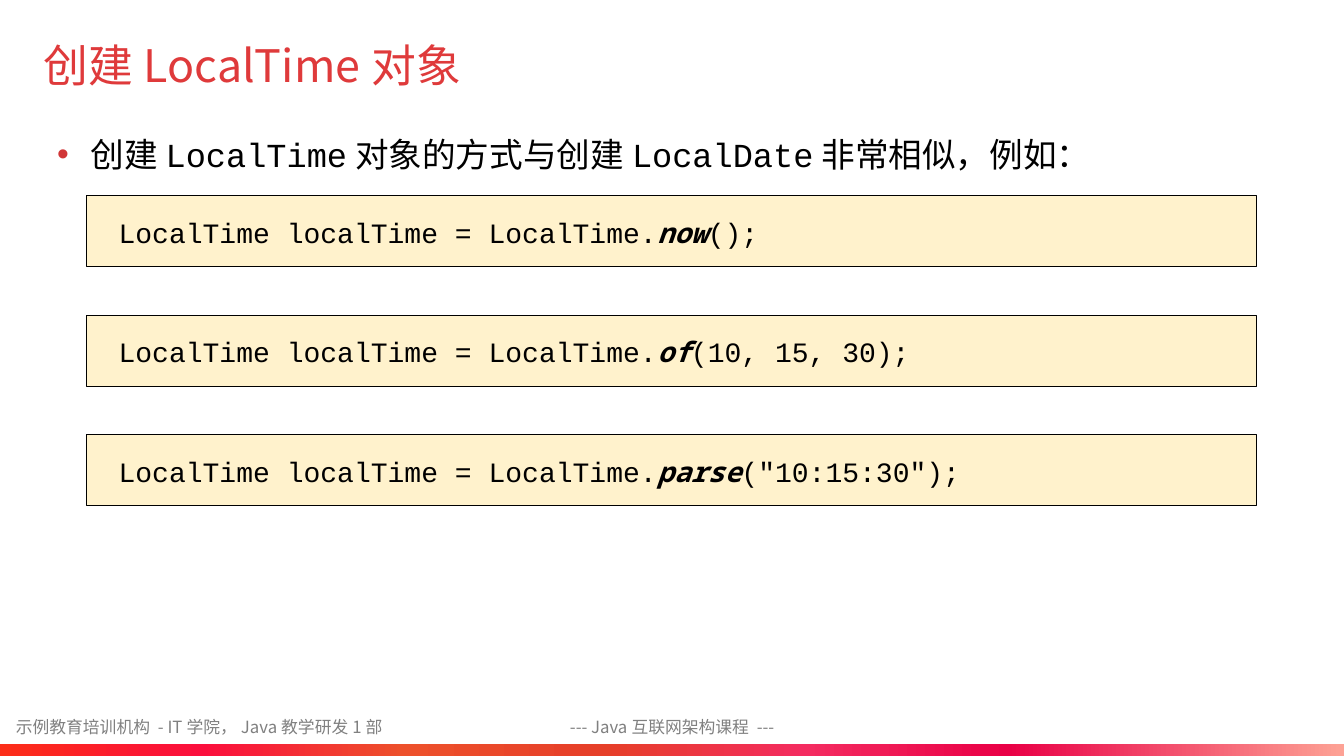
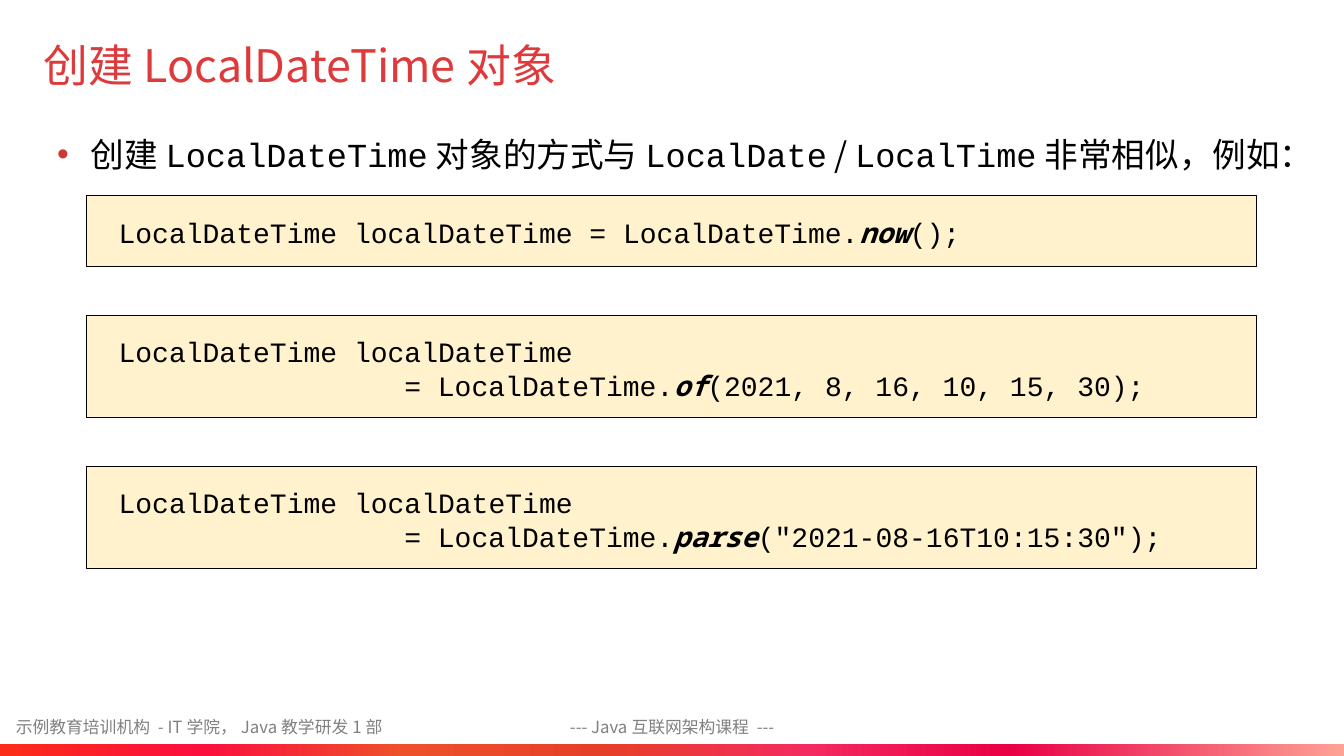
"""Build two slides on creating LocalTime and LocalDateTime objects."""
from dataclasses import dataclass

from lxml.etree import SubElement
from pptx import Presentation
from pptx.dml.color import RGBColor
from pptx.enum.shapes import MSO_SHAPE
from pptx.enum.text import MSO_ANCHOR, PP_ALIGN
from pptx.oxml.ns import qn
from pptx.util import Cm, Pt

RED = RGBColor(0xDF, 0x3A, 0x3B)
BULLET_RED = RGBColor(0xD1, 0x36, 0x37)
GREY = RGBColor(0x80, 0x80, 0x80)
BLACK = RGBColor(0x00, 0x00, 0x00)
CREAM = RGBColor(0xFF, 0xF2, 0xCC)
BAND_STOPS = (
    (0, RGBColor(0xFC, 0x2D, 0x18)),
    (15, RGBColor(0xFB, 0x0F, 0x3D)),
    (30, RGBColor(0xED, 0x50, 0x2B)),
    (45, RGBColor(0xE6, 0x3F, 0x29)),
    (60, RGBColor(0xF4, 0x2B, 0x60)),
    (75, RGBColor(0xE9, 0x00, 0x46)),
    (100, RGBColor(0xFD, 0xA2, 0x95)),
)

SANS = "Noto Sans CJK SC"
CODE = "Courier New"
METHOD = "Noto Sans Mono"

SLIDE_W, SLIDE_H = 33.87, 19.05
BAND_H = 0.3
CODE_LEFT, CODE_TOP, CODE_W = 2.18, 4.93, 29.49
CODE_PAD_X, CODE_PAD_Y = 0.81, 0.5
CODE_LINE_H, CODE_GAP = 0.79, 1.22
CODE_INDENT = 7.2


@dataclass(frozen=True)
class Box:
    """Position and size in centimetres."""
    left: float
    top: float
    width: float
    height: float

    def lengths(self) -> tuple:
        """Return the four values as lengths."""
        return Cm(self.left), Cm(self.top), Cm(self.width), Cm(self.height)


@dataclass(frozen=True)
class Style:
    """Font, size and colour of a run."""
    font: str
    size: float
    color: RGBColor
    strong: bool = False


@dataclass(frozen=True)
class Call:
    """A code sample that calls one static method."""
    method: str
    arguments: str
    split: bool = False


@dataclass(frozen=True)
class Topic:
    """Contents of one slide."""
    class_name: str
    variable: str
    intro: tuple
    calls: tuple


TITLE_STYLE = Style(SANS, 32, RED)
FOOTER_STYLE = Style(SANS, 12, GREY)
BODY_STYLE = Style(SANS, 24, BLACK)
BODY_CODE_STYLE = Style(CODE, 24, BLACK)
CODE_STYLE = Style(CODE, 20, BLACK)
METHOD_STYLE = Style(METHOD, 20, BLACK, strong=True)

TITLE_BOX = Box(0.84, 0.74, 25, 1.8)
BODY_BOX = Box(1.19, 3.15, 31.5, 1.8)
FOOTERS = (
    ("示例教育培训机构 - IT学院，Java教学研发1部", Box(0.15, 17.91, 11.23, 0.79), PP_ALIGN.LEFT),
    ("--- Java互联网架构课程 ---", Box(12.57, 17.91, 8.74, 0.81), PP_ALIGN.CENTER),
)

TOPICS = (
    Topic(
        "LocalTime", "localTime",
        (("创建", BODY_STYLE), ("LocalTime", BODY_CODE_STYLE),
         ("对象的方式与创建", BODY_STYLE), ("LocalDate", BODY_CODE_STYLE),
         ("非常相似，例如：", BODY_STYLE)),
        (Call("now", ""), Call("of", "10, 15, 30"), Call("parse", '"10:15:30"')),
    ),
    Topic(
        "LocalDateTime", "localDateTime",
        (("创建", BODY_STYLE), ("LocalDateTime", BODY_CODE_STYLE),
         ("对象的方式与", BODY_STYLE), ("LocalDate", BODY_CODE_STYLE),
         (" / ", BODY_STYLE), ("LocalTime", BODY_CODE_STYLE),
         ("非常相似，例如：", BODY_STYLE)),
        (Call("now", ""),
         Call("of", "2021, 8, 16, 10, 15, 30", split=True),
         Call("parse", '"2021-08-16T10:15:30"', split=True)),
    ),
)


def add_run(p, text: str, style: Style) -> None:
    """Append a styled run to a paragraph."""
    r = p.add_run()
    r.text = text
    r.font.name = style.font
    r.font.size = Pt(style.size)
    r.font.color.rgb = style.color
    r.font.bold = r.font.italic = style.strong
    SubElement(r.font._element, qn("a:ea"), typeface=style.font)


def add_text(s, box: Box, runs: tuple, anchor=MSO_ANCHOR.MIDDLE, align=PP_ALIGN.LEFT):
    """Add a text box with one paragraph and return the paragraph."""
    tf = s.shapes.add_textbox(*box.lengths()).text_frame
    tf.word_wrap = True
    tf.vertical_anchor = anchor
    p = tf.paragraphs[0]
    p.alignment = align
    for text, style in runs:
        add_run(p, text, style)
    return p


def add_rect(s, box: Box):
    """Add a rectangle without a shadow."""
    sp = s.shapes.add_shape(MSO_SHAPE.RECTANGLE, *box.lengths())
    sp.shadow.inherit = False
    return sp


def add_band(s) -> None:
    """Add the gradient band along the bottom edge."""
    sp = add_rect(s, Box(0, SLIDE_H - BAND_H, SLIDE_W, BAND_H))
    sp.line.fill.background()
    sp.fill.gradient()
    sp.fill.gradient_angle = 0
    stops = sp.element.spPr.find(qn("a:gradFill")).find(qn("a:gsLst"))
    for stop in list(stops):
        stops.remove(stop)
    for percent, color in BAND_STOPS:
        stop = SubElement(stops, qn("a:gs"), pos=str(percent * 1000))
        SubElement(stop, qn("a:srgbClr"), val=str(color))


def add_intro(s, runs: tuple) -> None:
    """Add the bulleted introduction."""
    p = add_text(s, BODY_BOX, runs, anchor=MSO_ANCHOR.TOP)
    p.line_spacing = 1.1
    p.space_before = Pt(10)
    pPr = p._p.get_or_add_pPr()
    pPr.set("marL", str(Cm(0.84)))
    pPr.set("indent", str(Cm(-0.84)))
    SubElement(SubElement(pPr, qn("a:buClr")), qn("a:srgbClr"), val=str(BULLET_RED))
    SubElement(pPr, qn("a:buFont"), typeface="Arial")
    SubElement(pPr, qn("a:buChar"), char="•")


def add_code(s, topic: Topic, call: Call, top: float) -> float:
    """Add one code panel and return its bottom edge."""
    height = 2 * CODE_PAD_Y + CODE_LINE_H * (2 if call.split else 1)
    sp = add_rect(s, Box(CODE_LEFT, top, CODE_W, height))
    sp.fill.solid()
    sp.fill.fore_color.rgb = CREAM
    sp.line.color.rgb = BLACK
    sp.line.width = Pt(0.5)
    tf = sp.text_frame
    tf.word_wrap = True
    tf.vertical_anchor = MSO_ANCHOR.TOP
    tf.margin_left = tf.margin_right = Cm(CODE_PAD_X)
    tf.margin_top = tf.margin_bottom = Cm(CODE_PAD_Y)
    p = tf.paragraphs[0]
    p.alignment = PP_ALIGN.LEFT
    add_run(p, f"{topic.class_name} {topic.variable} ", CODE_STYLE)
    if call.split:
        p = tf.add_paragraph()
        p.alignment = PP_ALIGN.LEFT
        p._p.get_or_add_pPr().set("marL", str(Cm(CODE_INDENT)))
    add_run(p, f"= {topic.class_name}.", CODE_STYLE)
    add_run(p, call.method, METHOD_STYLE)
    add_run(p, f"({call.arguments});", CODE_STYLE)
    return top + height


def add_topic(prs, topic: Topic) -> None:
    """Add the slide for one topic."""
    s = prs.slides.add_slide(prs.slide_layouts[6])
    for text, box, align in FOOTERS:
        add_text(s, box, ((text, FOOTER_STYLE),), align=align)
    add_band(s)
    add_text(s, TITLE_BOX, ((f"创建{topic.class_name}对象", TITLE_STYLE),))
    add_intro(s, topic.intro)
    top = CODE_TOP
    for call in topic.calls:
        top = add_code(s, topic, call, top) + CODE_GAP


def main() -> None:
    """Build and save the presentation."""
    prs = Presentation()
    prs.slide_width, prs.slide_height = Cm(SLIDE_W), Cm(SLIDE_H)
    for topic in TOPICS:
        add_topic(prs, topic)
    prs.save("out.pptx")


main()
